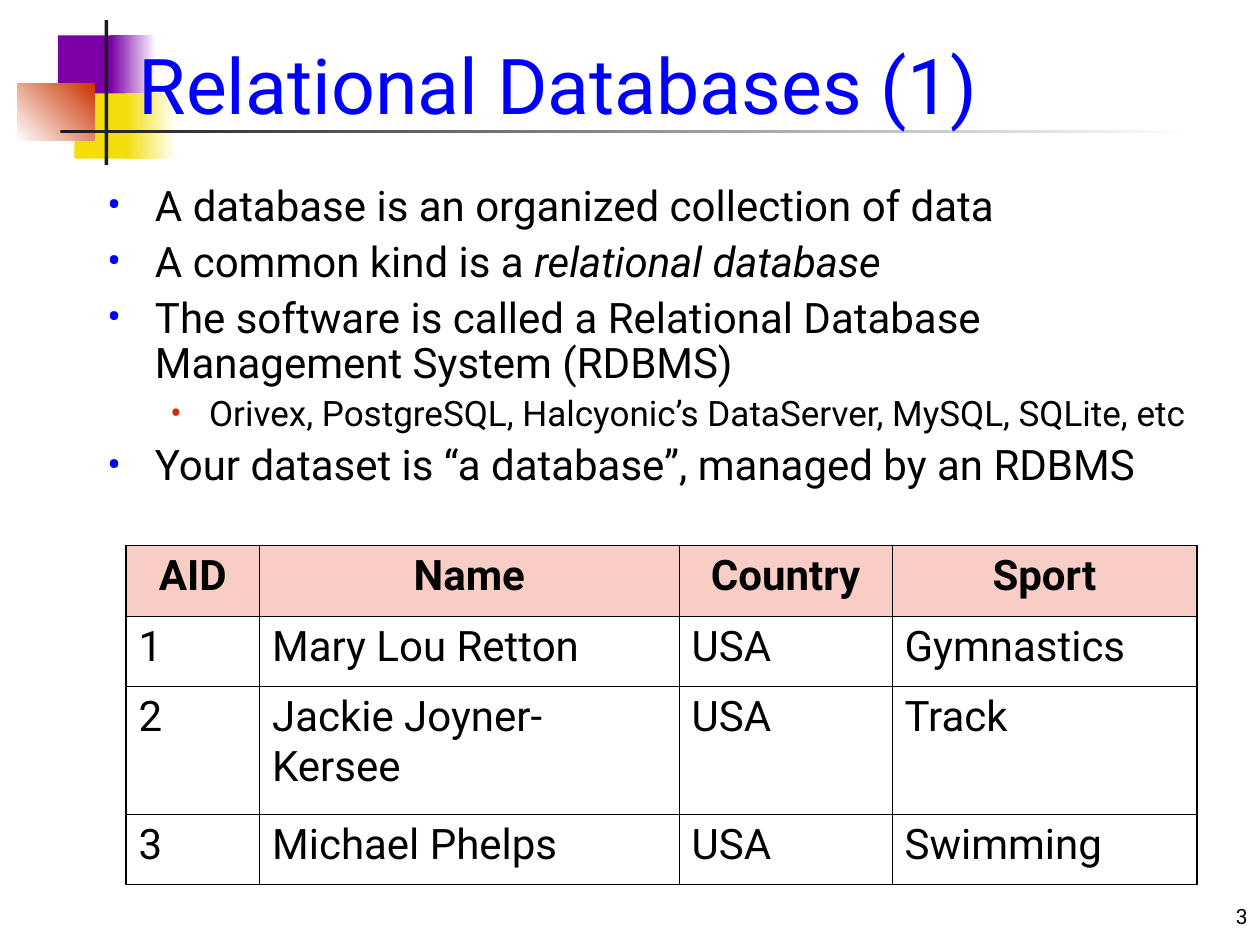
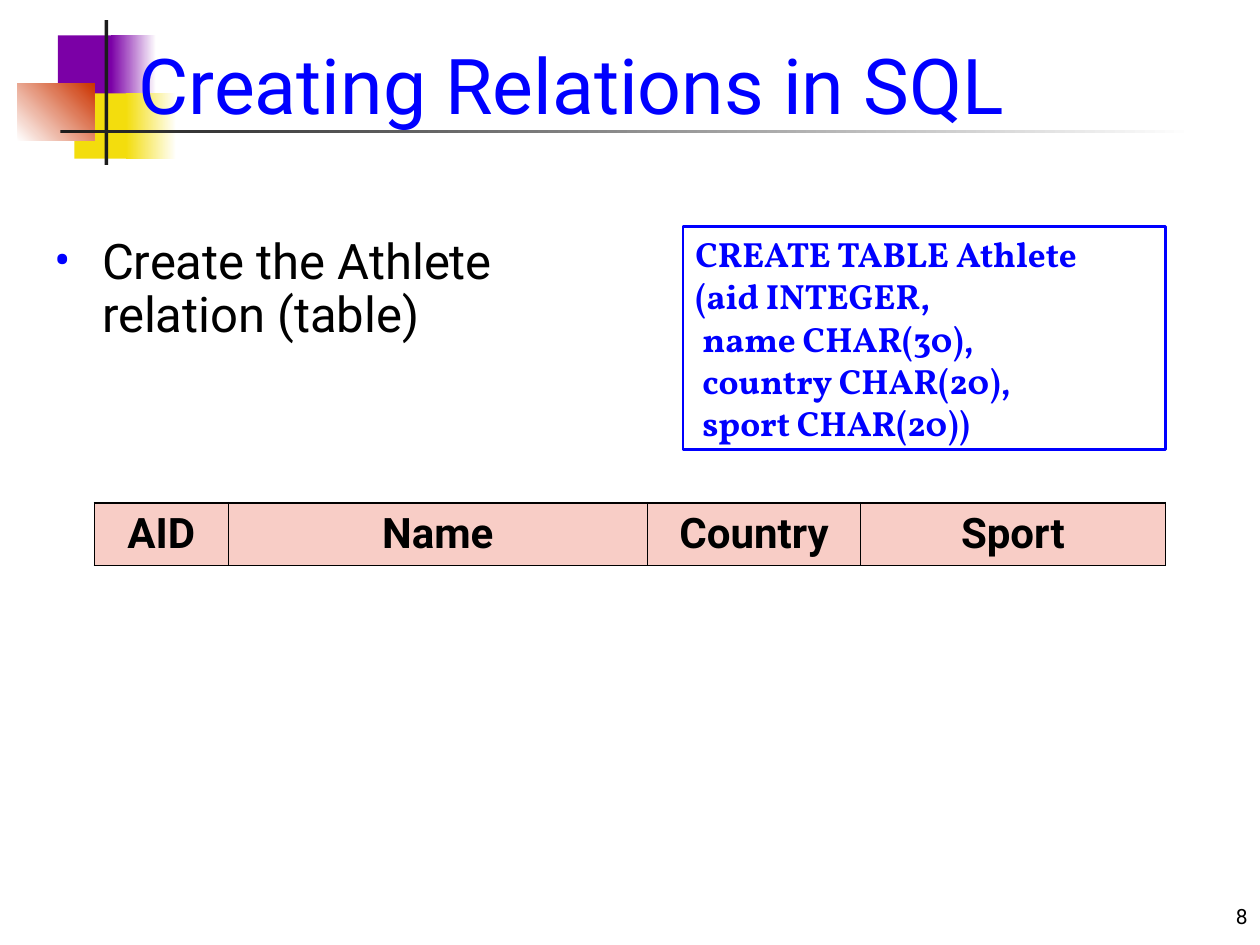
from lxml import etree
from pptx import Presentation
from pptx.dml.color import RGBColor
from pptx.enum.shapes import MSO_SHAPE as Shape
from pptx.enum.text import MSO_ANCHOR as Anchor, MSO_AUTO_SIZE as AutoSize, PP_ALIGN as Align
from pptx.oxml.ns import qn
from pptx.util import Inches, Pt

BLUE, RED, BLACK, WHITE = "0000FF", "CC3300", "000000", "FFFFFF"
PURPLE, YELLOW, CHARCOAL, PINK = "7B00A6", "F3DD0D", "1C1C1C", "F8CDC6"
TEXT_FONT, CODE_FONT = "Roboto", "Vollkorn"
THICK, THIN = 1.08, 0.45

HEADINGS = ["AID", "Name", "Country", "Sport"]
COLUMN_WIDTHS = [1.06, 3.33, 1.69, 2.42]
ATHLETES = [
    ["1", "Mary Lou Retton", "USA", "Gymnastics"],
    ["2", "Jackie Joyner-Kersee", "USA", "Track"],
    ["3", "Michael Phelps", "USA", "Swimming"],
]
CREATE_TABLE = [
    "CREATE TABLE Athlete",
    "(aid INTEGER,",
    " name CHAR(30),",
    " country CHAR(20),",
    " sport CHAR(20))",
]


def color(hex_string):
    return RGBColor.from_string(hex_string)


def inches(box):
    return [Inches(length) for length in box]


def place(shape, box):
    shape.left, shape.top, shape.width, shape.height = inches(box)


def add_text(paragraph, text, size=24, ink=BLACK, font=TEXT_FONT, bold=False,
             italic=False, align=Align.LEFT):
    paragraph.alignment = align
    run = paragraph.add_run()
    run.text = text
    run.font.size = Pt(size)
    run.font.name = font
    run.font.bold = bold
    run.font.italic = italic
    run.font.color.rgb = color(ink)


def next_paragraph(frame, index):
    return frame.paragraphs[0] if index == 0 else frame.add_paragraph()


def add_block(slide, box, start, end=None, angle=0):
    """Draw a borderless rectangle, fading to the end colour if there is one."""
    block = slide.shapes.add_shape(Shape.RECTANGLE, *inches(box))
    block.shadow.inherit = False
    block.line.fill.background()
    if end is None:
        block.fill.solid()
        block.fill.fore_color.rgb = color(start)
    else:
        block.fill.gradient()
        block.fill.gradient_angle = angle
        for stop, hex_string in zip(block.fill.gradient_stops, (start, end)):
            stop.color.rgb = color(hex_string)
    return block


def decorate_layout(layout, slide):
    """Draw the corner blocks and rules, then move them to the shared layout."""
    blocks = [
        add_block(slide, (0.46, 0.28, 0.48, 0.52), PURPLE),
        add_block(slide, (0.88, 0.28, 0.36, 0.52), PURPLE, WHITE),
        add_block(slide, (0.59, 0.74, 0.46, 0.52), YELLOW),
        add_block(slide, (1, 0.74, 0.4, 0.52), YELLOW, WHITE),
        add_block(slide, (0.14, 0.66, 0.61, 0.46), WHITE, RED, angle=45),
        add_block(slide, (0.83, 0.16, 0.03, 1.15), CHARCOAL),
        add_block(slide, (0.48, 1.03, 9, 0.03), CHARCOAL, WHITE),
    ]
    first_placeholder = layout.placeholders[0].element
    for block in blocks:
        first_placeholder.addprevious(block.element)


def add_title(slide, text):
    title = slide.shapes.title
    place(title, (1, -0.17, 8.83, 1.25))
    frame = title.text_frame
    frame.auto_size = AutoSize.NONE
    frame.vertical_anchor = Anchor.BOTTOM
    add_text(frame.paragraphs[0], text, size=44, ink=BLUE)


def add_slide_number(slide, number):
    frame = slide.shapes.add_textbox(*inches((7.92, 6.92, 2.08, 0.5))).text_frame
    frame.word_wrap = True
    frame.vertical_anchor = Anchor.BOTTOM
    add_text(frame.paragraphs[0], number, size=12, align=Align.RIGHT)


def set_bullet(paragraph, level):
    margin, hanging, ink = [(0.38, 0.38, BLUE), (0.81, 0.31, RED)][level]
    paragraph.level = level
    properties = paragraph._p.get_or_add_pPr()
    properties.set("marL", str(Inches(margin)))
    properties.set("indent", str(-Inches(hanging)))
    bullet_color = etree.SubElement(properties, qn("a:buClr"))
    etree.SubElement(bullet_color, qn("a:srgbClr")).set("val", ink)
    etree.SubElement(properties, qn("a:buFont")).set("typeface", TEXT_FONT)
    etree.SubElement(properties, qn("a:buChar")).set("char", "•")


def add_bullets(slide, box, items, size):
    """Fill the body; an item is its level, its text and an optional italic ending."""
    body = slide.placeholders[1]
    place(body, box)
    frame = body.text_frame
    frame.auto_size = AutoSize.NONE
    for index, (level, text, *endings) in enumerate(items):
        paragraph = next_paragraph(frame, index)
        set_bullet(paragraph, level)
        paragraph.line_spacing = 0.9
        paragraph.space_before = Pt((6 - level) if index else 0)
        item_size = size - 4 * level
        add_text(paragraph, text, size=item_size)
        for ending in endings:
            add_text(paragraph, ending, size=item_size, italic=True)


def add_code_box(slide, box, lines):
    code_box = slide.shapes.add_shape(Shape.RECTANGLE, *inches(box))
    code_box.shadow.inherit = False
    code_box.fill.background()
    code_box.line.color.rgb = color(BLUE)
    code_box.line.width = Pt(1.5)
    frame = code_box.text_frame
    frame.word_wrap = True
    frame.auto_size = AutoSize.SHAPE_TO_FIT_TEXT
    frame.vertical_anchor = Anchor.TOP
    for index, line in enumerate(lines):
        add_text(next_paragraph(frame, index), line, size=20, ink=BLUE,
                 font=CODE_FONT, bold=True)


def set_borders(cell, widths):
    """Set black borders; widths maps the sides L, R, T, B, in that order."""
    properties = cell._tc.get_or_add_tcPr()
    for side, width in widths.items():
        border = etree.SubElement(properties, qn(f"a:ln{side}"))
        border.set("w", str(Pt(width)))
        fill = etree.SubElement(border, qn("a:solidFill"))
        etree.SubElement(fill, qn("a:srgbClr")).set("val", BLACK)


def add_athlete_table(slide, left, top, row_heights, athletes=()):
    rows = [HEADINGS, *athletes]
    box = (left, top, sum(COLUMN_WIDTHS), sum(row_heights))
    table = slide.shapes.add_table(len(rows), len(HEADINGS), *inches(box)).table
    table.first_row = table.horz_banding = False
    for column, width in zip(table.columns, COLUMN_WIDTHS):
        column.width = Inches(width)
    for row, height in zip(table.rows, row_heights):
        row.height = Inches(height)

    last_row, last_column = len(rows) - 1, len(HEADINGS) - 1
    for y, values in enumerate(rows):
        for x, value in enumerate(values):
            cell, heading = table.cell(y, x), y == 0
            set_borders(cell, {
                "L": THICK if x == 0 else THIN,
                "R": THICK if x == last_column else THIN,
                "T": THICK if heading else THIN,
                "B": THICK if 0 < y == last_row else THIN,
            })
            if heading:
                cell.fill.solid()
                cell.fill.fore_color.rgb = color(PINK)
            else:
                cell.fill.background()
            add_text(cell.text_frame.paragraphs[0], value, bold=heading,
                     align=Align.CENTER if heading else Align.LEFT)


def fill_databases_slide(slide):
    add_slide_number(slide, "3")
    add_title(slide, "Relational Databases (1)")
    add_bullets(slide, (0.75, 1.42, 8.83, 5.25), [
        (0, "A database is an organized collection of data"),
        (0, "A common kind is a ", "relational database"),
        (0, "The software is called a Relational Database Management System (RDBMS)"),
        (1, "Orivex, PostgreSQL, Halcyonic’s DataServer, MySQL, SQLite, etc"),
        (0, "Your dataset is “a database”, managed by an RDBMS"),
    ], size=24)
    add_athlete_table(slide, 1, 4.33, [0.56, 0.56, 1.01, 0.56], ATHLETES)


def fill_creating_slide(slide):
    add_slide_number(slide, "8")
    add_title(slide, "Creating Relations in SQL")
    add_bullets(slide, (0.33, 1.83, 4.83, 1.75),
                [(0, "Create the Athlete relation (table)")], size=28)
    add_code_box(slide, (5.42, 1.8, 3.83, 1.77), CREATE_TABLE)
    add_athlete_table(slide, 0.75, 3.99, [0.5])


def main():
    presentation = Presentation()
    presentation.slide_width, presentation.slide_height = Inches(10), Inches(7.5)
    layout = presentation.slide_layouts[1]
    databases_slide = presentation.slides.add_slide(layout)
    decorate_layout(layout, databases_slide)
    fill_databases_slide(databases_slide)
    fill_creating_slide(presentation.slides.add_slide(layout))
    presentation.save("out.pptx")


if __name__ == "__main__":
    main()
